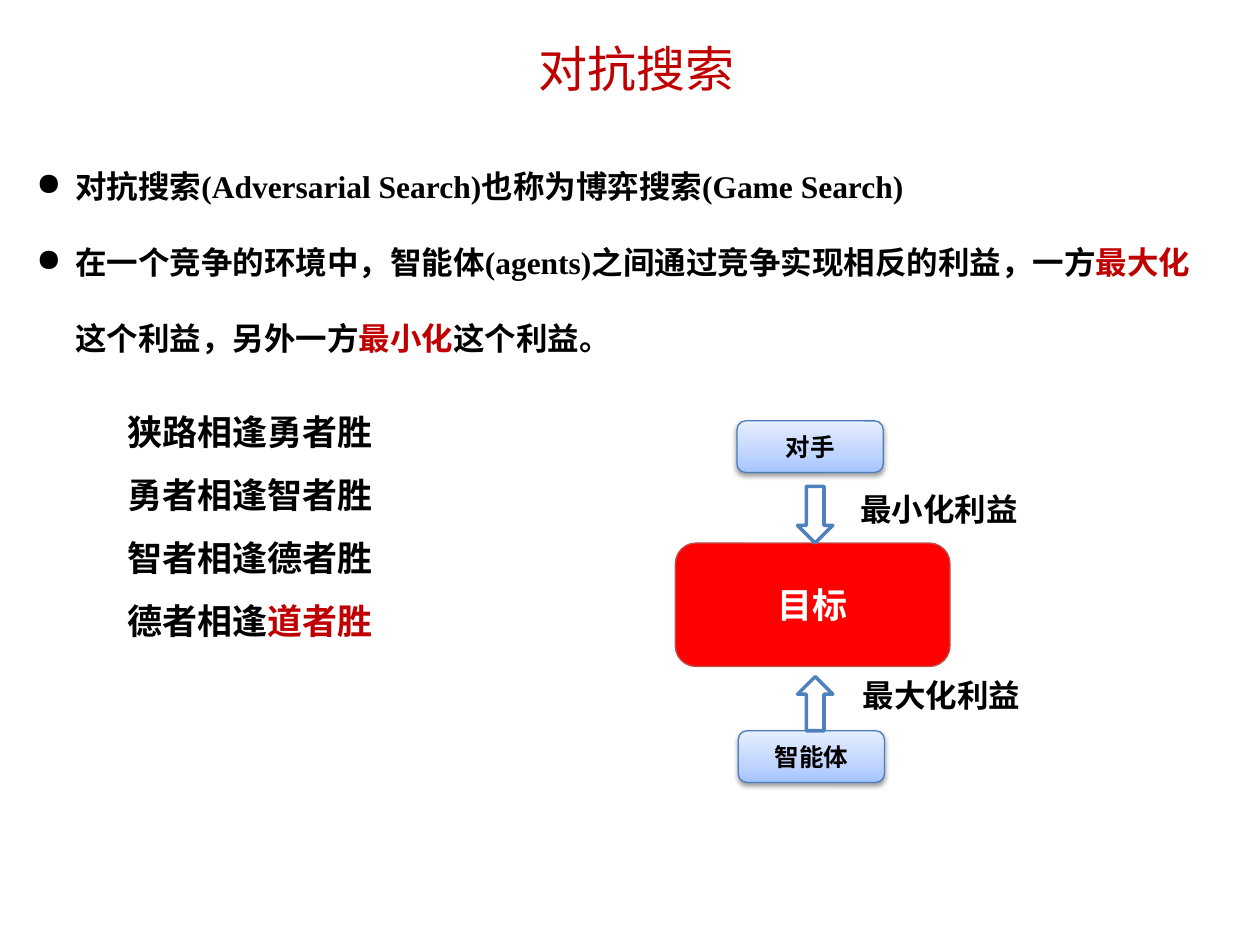
from dataclasses import dataclass

from lxml import etree
from pptx import Presentation
from pptx.dml.color import RGBColor
from pptx.enum.shapes import MSO_SHAPE as Shape
from pptx.enum.text import MSO_ANCHOR as Anchor, MSO_AUTO_SIZE as AutoSize, PP_ALIGN as Align
from pptx.oxml import parse_xml
from pptx.oxml.ns import nsdecls, qn
from pptx.util import Inches, Pt


@dataclass(frozen=True)
class Theme:
    latin: str = "Times New Roman"
    chinese: str = "Noto Sans CJK SC"
    black: str = "000000"
    white: str = "FFFFFF"
    accent: str = "C00000"
    goal: str = "FF0000"
    goal_line: str = "C0504D"
    player_line: str = "4B7EBC"
    arrow_line: str = "4F81BD"
    gradient: tuple = ((0, "A4C4FF"), (35, "BFD4FF"), (100, "E6EEFF"))
    title_size: int = 28
    large_size: int = 20
    body_size: int = 18
    player_size: int = 14


theme = Theme()


def write(shape, lines, size, color=theme.black, bold=True, font=theme.latin,
          align=Align.LEFT, spacing=1.0, bullet=None, wrap=True):
    """Fill a shape with lines; text between bars takes the accent colour."""
    frame = shape.text_frame
    frame.word_wrap = wrap
    for index, line in enumerate(lines):
        para = frame.paragraphs[0] if index == 0 else frame.add_paragraph()
        para.alignment = align
        para.line_spacing = spacing
        if bullet:
            props = para._p.get_or_add_pPr()
            props.set("marL", str(Inches(0.31)))
            props.set("indent", str(Inches(-0.31)))
            etree.SubElement(props, qn("a:buChar")).set("char", bullet)
        for part, text in enumerate(line.split("|")):
            if not text:
                continue
            span = para.add_run()
            span.text = text
            span.font.size = Pt(size)
            span.font.bold = bold
            span.font.name = font
            span.font.color.rgb = RGBColor.from_string(theme.accent if part % 2 else color)
            east_asian = etree.SubElement(span._r.get_or_add_rPr(), qn("a:ea"))
            east_asian.set("typeface", theme.chinese)


def add_block(kind, left, top, width, height, fill, line, line_width):
    """Add a preset shape without shadow, with a centred tight text frame."""
    block = page.shapes.add_shape(kind, Inches(left), Inches(top), Inches(width), Inches(height))
    block.shadow.inherit = False
    block.fill.solid()
    block.fill.fore_color.rgb = RGBColor.from_string(fill)
    block.line.color.rgb = RGBColor.from_string(line)
    block.line.width = Pt(line_width)
    frame = block.text_frame
    frame.margin_top = frame.margin_bottom = 0
    frame.vertical_anchor = Anchor.MIDDLE
    return block


deck = Presentation()
deck.slide_width, deck.slide_height = Inches(10), Inches(7.5)
page = deck.slides.add_slide(deck.slide_layouts[6])

# Title
title = page.shapes.add_textbox(Inches(0.47), Inches(0.15), Inches(9.16), Inches(0.72))
title.text_frame.margin_top = Inches(0.16)
title.text_frame.vertical_anchor = Anchor.MIDDLE
write(title, ["对抗搜索"], theme.title_size, theme.accent, bold=False,
      font=theme.chinese, align=Align.CENTER, spacing=0.9)

# Definition
definition = page.shapes.add_textbox(Inches(0.19), Inches(0.98), Inches(9.47), Inches(2.52))
definition.text_frame.auto_size = AutoSize.SHAPE_TO_FIT_TEXT
write(definition, [
    "对抗搜索(Adversarial Search)也称为博弈搜索(Game Search)",
    "在一个竞争的环境中，智能体(agents)之间通过竞争实现相反的利益，一方|最大化|"
    "这个利益，另外一方|最小化|这个利益。",
], theme.body_size, spacing=2.0, bullet="●")

# Sayings
sayings = page.shapes.add_textbox(Inches(0.91), Inches(3.04), Inches(3.09), Inches(2.12))
sayings.text_frame.auto_size = AutoSize.SHAPE_TO_FIT_TEXT
write(sayings, ["狭路相逢勇者胜", "勇者相逢智者胜", "智者相逢德者胜", "德者相逢|道者胜|"],
      theme.large_size, spacing=1.5)

# Players, with a gradient and a soft shadow
stops = "".join(f'<a:gs pos="{pos * 1000}"><a:srgbClr val="{color}"/></a:gs>'
                for pos, color in theme.gradient)
gradient_xml = (f'<a:gradFill {nsdecls("a")} rotWithShape="1"><a:gsLst>{stops}</a:gsLst>'
                '<a:lin ang="16200000" scaled="0"/></a:gradFill>')
shadow_xml = (f'<a:outerShdw {nsdecls("a")} blurRad="{Pt(3.1)}" dist="{Pt(1.6)}" dir="5400000" '
              f'rotWithShape="0"><a:srgbClr val="{theme.black}"><a:alpha val="38000"/>'
              '</a:srgbClr></a:outerShdw>')
for name, left, top in (("智能体", 5.86, 5.8), ("对手", 5.85, 3.34)):
    player = add_block(Shape.ROUNDED_RECTANGLE, left, top, 1.16, 0.41,
                       theme.white, theme.player_line, 0.75)
    props = player._element.spPr
    props.replace(props.find(qn("a:solidFill")), parse_xml(gradient_xml))
    props.find(qn("a:effectLst")).append(parse_xml(shadow_xml))
    write(player, [name], theme.player_size, align=Align.CENTER, wrap=False)

# Goal
goal = add_block(Shape.ROUNDED_RECTANGLE, 5.36, 4.31, 2.18, 0.98,
                 theme.goal, theme.goal_line, 0.75)
write(goal, ["目标"], theme.large_size, theme.white, align=Align.CENTER, wrap=False)

# Arrows towards the goal and their labels
for kind, top, height, text, label_left, label_top in (
    (Shape.UP_ARROW, 5.37, 0.43, "最大化利益", 6.75, 5.32),
    (Shape.DOWN_ARROW, 3.86, 0.45, "最小化利益", 6.73, 3.84),
):
    add_block(kind, 6.33, top, 0.28, height, theme.white, theme.arrow_line, 2)
    label = page.shapes.add_textbox(Inches(label_left), Inches(label_top),
                                    Inches(1.46), Inches(0.4))
    label.text_frame.auto_size = AutoSize.SHAPE_TO_FIT_TEXT
    write(label, [text], theme.body_size, wrap=False)

deck.save("out.pptx")
